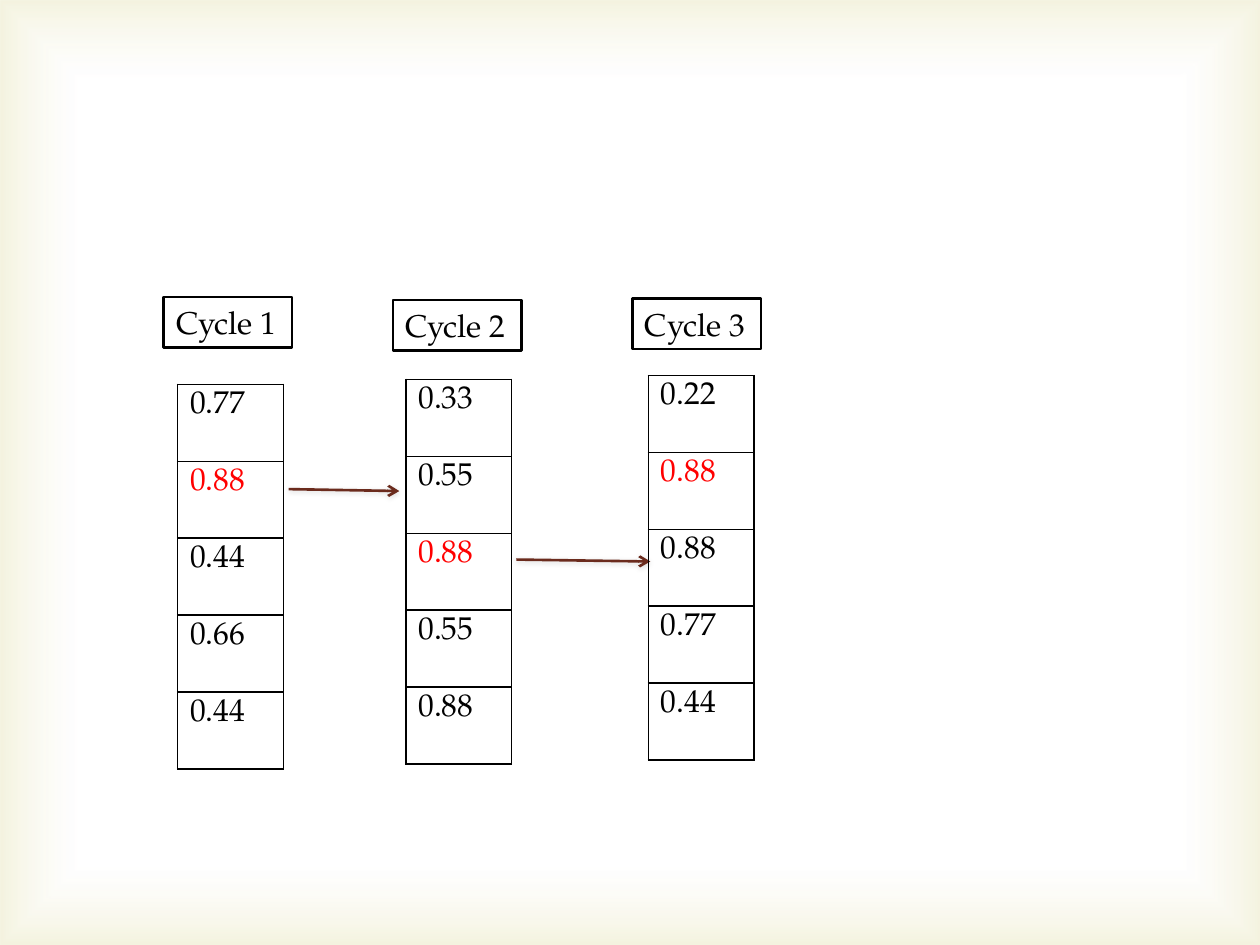
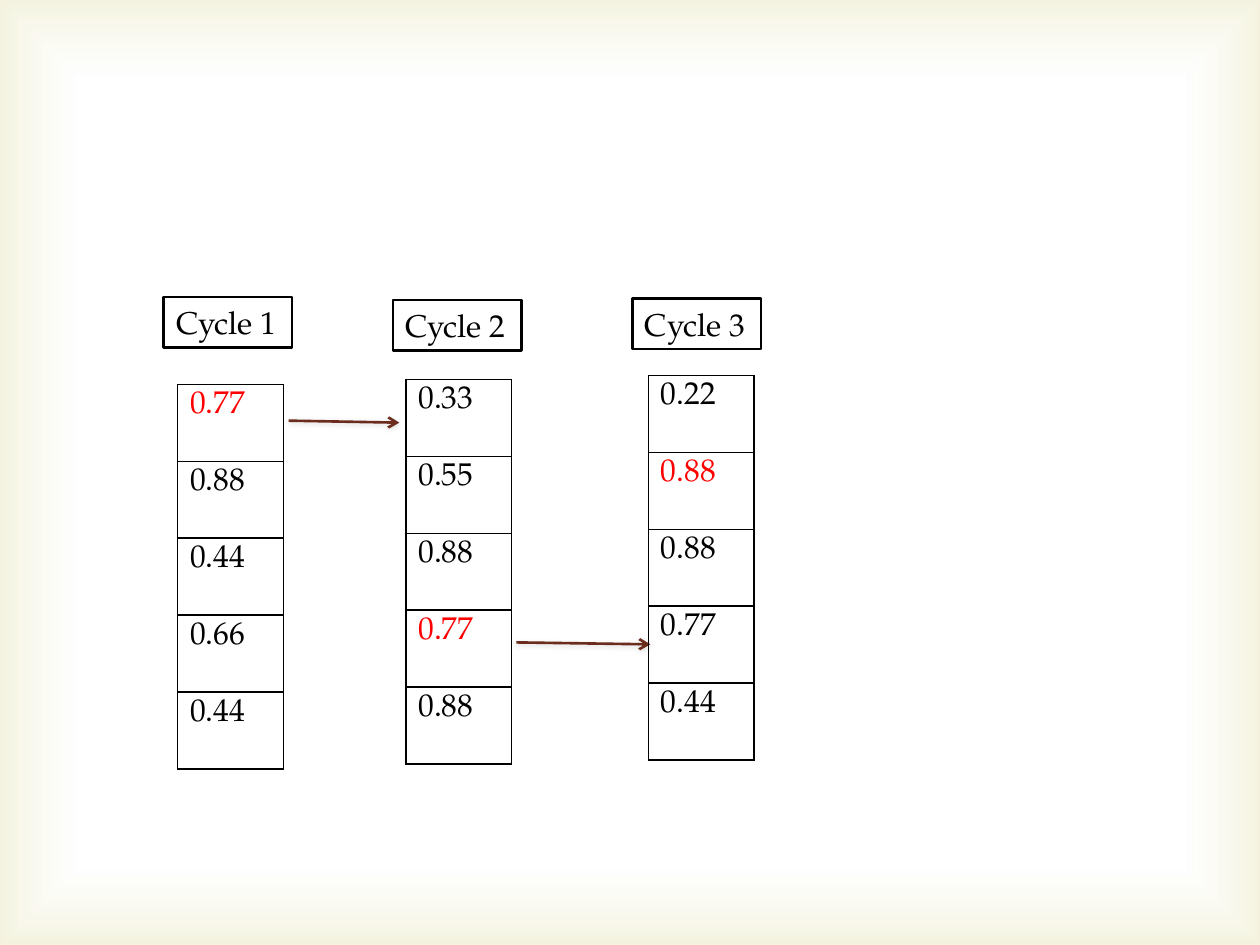
from dataclasses import dataclass

from lxml.etree import SubElement
from pptx import Presentation
from pptx.dml.color import RGBColor as RGB
from pptx.enum.shapes import MSO_CONNECTOR as CONNECTOR, MSO_SHAPE as SHAPE
from pptx.enum.text import MSO_AUTO_SIZE as AUTO_SIZE
from pptx.oxml import parse_xml
from pptx.oxml.ns import nsdecls, qn
from pptx.util import Cm, Pt


@dataclass(frozen=True)
class Theme:
    font: str = "TeX Gyre Pagella"
    size: int = 18
    ink: str = "000000"
    highlight: str = "FF0000"
    paper: str = "FFFFFF"
    glow: str = "D1CA75"
    arrow: str = "6B2B1D"
    line: float = 1.5
    border: float = 1


THEME = Theme()

# Slide and column geometry, in cm
SLIDE_W, SLIDE_H = 25.4, 19.05
LABEL_W, LABEL_H = 2.59, 1.02
CELL_W, CELL_H = 2.13, 1.55
LABEL_AT = [(3.3, 5.99), (7.92, 6.05), (12.75, 6.02)]
COLUMN_AT = [(3.58, 7.75), (8.18, 7.65), (13.07, 7.57)]
ARROW_SPANS = [(5.82, 8.05), (10.41, 13.11)]
ARROW_DROP = 0.04

# Per slide: values of each cycle, highlighted row of each, arrow heights
CYCLE_1 = ["0.77", "0.88", "0.44", "0.66", "0.44"]
CYCLE_3 = ["0.22", "0.88", "0.88", "0.77", "0.44"]
STEPS = [
    ([CYCLE_1, ["0.33", "0.55", "0.88", "0.55", "0.88"], CYCLE_3],
     [1, 2, 1], [9.86, 11.28]),
    ([CYCLE_1, ["0.33", "0.55", "0.88", "0.77", "0.88"], CYCLE_3],
     [0, 3, 1], [8.48, 12.95]),
]


def color(code):
    return RGB.from_string(code)


def add_text(frame, text, code=THEME.ink):
    run = frame.paragraphs[0].add_run()
    run.text = text
    run.font.name = THEME.font
    run.font.size = Pt(THEME.size)
    run.font.color.rgb = color(code)


def add_glow_frame(slide):
    """Cover the slide with a soft glow that deepens towards the edges."""
    frame = slide.shapes.add_shape(SHAPE.RECTANGLE, 0, 0, Cm(SLIDE_W), Cm(SLIDE_H))
    frame.shadow.inherit = False
    frame.line.fill.background()
    frame.fill.background()
    properties = frame._element.spPr
    gradient = parse_xml(
        f'<a:gradFill {nsdecls("a")} rotWithShape="1"><a:gsLst>'
        f'<a:gs pos="83000"><a:srgbClr val="{THEME.paper}"><a:alpha val="11000"/></a:srgbClr></a:gs>'
        f'<a:gs pos="100000"><a:srgbClr val="{THEME.glow}"><a:alpha val="23000"/></a:srgbClr></a:gs>'
        '</a:gsLst><a:path path="rect">'
        '<a:fillToRect l="50000" t="50000" r="50000" b="50000"/></a:path></a:gradFill>')
    properties.replace(properties.find(qn("a:noFill")), gradient)


def add_cycle_label(slide, text, left, top):
    label = slide.shapes.add_textbox(Cm(left), Cm(top), Cm(LABEL_W), Cm(LABEL_H))
    label.fill.solid()
    label.fill.fore_color.rgb = color(THEME.paper)
    label.line.color.rgb = color(THEME.ink)
    label.line.width = Pt(THEME.line)
    label.text_frame.word_wrap = False
    label.text_frame.auto_size = AUTO_SIZE.SHAPE_TO_FIT_TEXT
    add_text(label.text_frame, text)


def set_borders(cell):
    """Draw all four cell borders, ahead of the cell fill."""
    properties = cell._tc.get_or_add_tcPr()
    for position, side in enumerate(("lnL", "lnR", "lnT", "lnB")):
        border = parse_xml(
            f'<a:{side} {nsdecls("a")} w="{Pt(THEME.border)}"><a:solidFill>'
            f'<a:srgbClr val="{THEME.ink}"/></a:solidFill></a:{side}>')
        properties.insert(position, border)


def add_value_column(slide, values, highlighted, left, top):
    table = slide.shapes.add_table(
        len(values), 1, Cm(left), Cm(top), Cm(CELL_W), Cm(CELL_H * len(values))).table
    table.first_row = table.horz_banding = False
    for row, value in enumerate(values):
        table.rows[row].height = Cm(CELL_H)
        cell = table.cell(row, 0)
        cell.fill.background()
        set_borders(cell)
        add_text(cell.text_frame, value,
                 THEME.highlight if row == highlighted else THEME.ink)


def add_arrow(slide, start, end, top):
    arrow = slide.shapes.add_connector(
        CONNECTOR.STRAIGHT, Cm(start), Cm(top), Cm(end), Cm(top + ARROW_DROP))
    arrow.line.color.rgb = color(THEME.arrow)
    arrow.line.width = Pt(THEME.line)
    SubElement(arrow.line._get_or_add_ln(), qn("a:tailEnd"), type="arrow")
    arrow._element.spPr.append(parse_xml(
        f'<a:effectLst {nsdecls("a")}>'
        f'<a:outerShdw blurRad="{Pt(3)}" dist="{Pt(1)}" dir="5400000" rotWithShape="0">'
        f'<a:srgbClr val="{THEME.ink}"><a:alpha val="15000"/></a:srgbClr>'
        '</a:outerShdw></a:effectLst>'))


def add_cycle_slide(deck, cycles, highlights, arrow_tops):
    slide = deck.slides.add_slide(deck.slide_layouts[6])
    add_glow_frame(slide)
    # Arrows between the cycles
    for (start, end), top in zip(ARROW_SPANS, arrow_tops):
        add_arrow(slide, start, end, top)
    # Value columns
    for values, highlighted, corner in zip(cycles, highlights, COLUMN_AT):
        add_value_column(slide, values, highlighted, *corner)
    # Headings
    for number, corner in enumerate(LABEL_AT, start=1):
        add_cycle_label(slide, f"Cycle {number}", *corner)


def main():
    deck = Presentation()
    deck.slide_width, deck.slide_height = Cm(SLIDE_W), Cm(SLIDE_H)
    for cycles, highlights, arrow_tops in STEPS:
        add_cycle_slide(deck, cycles, highlights, arrow_tops)
    deck.save("out.pptx")


if __name__ == "__main__":
    main()
